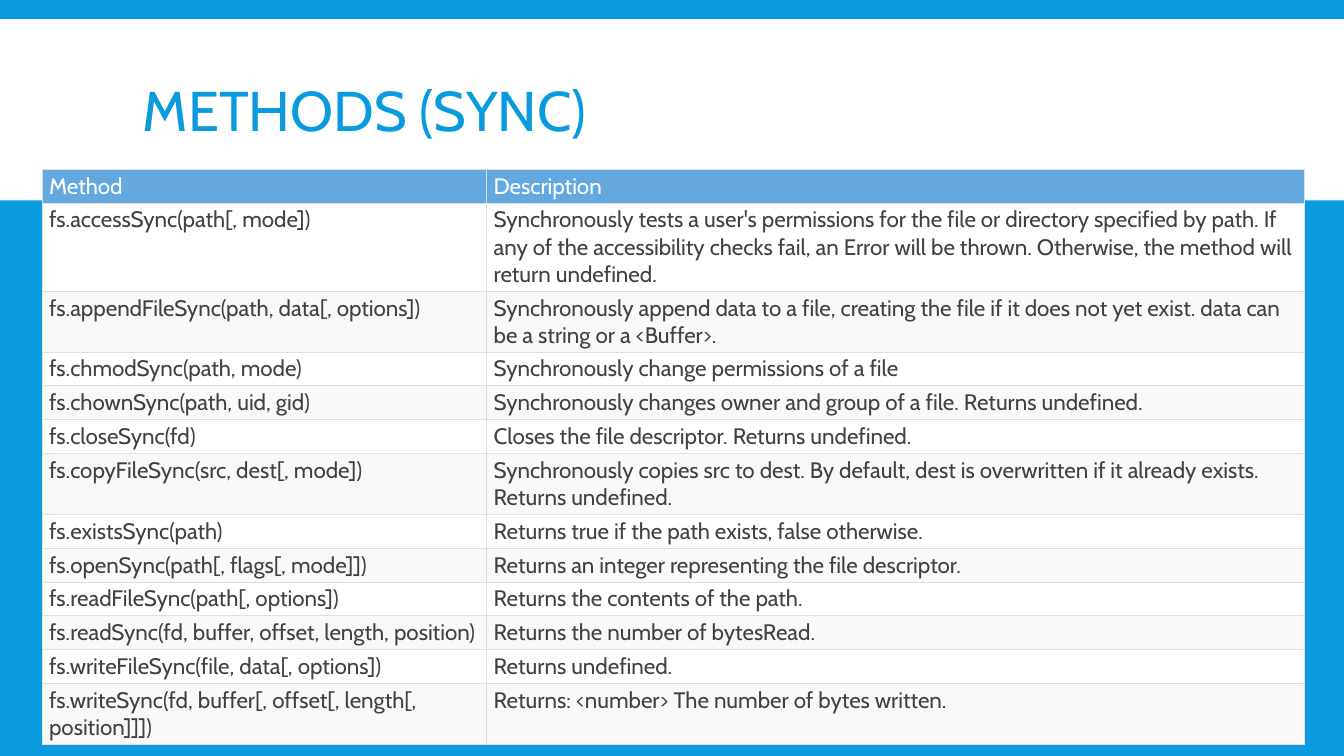
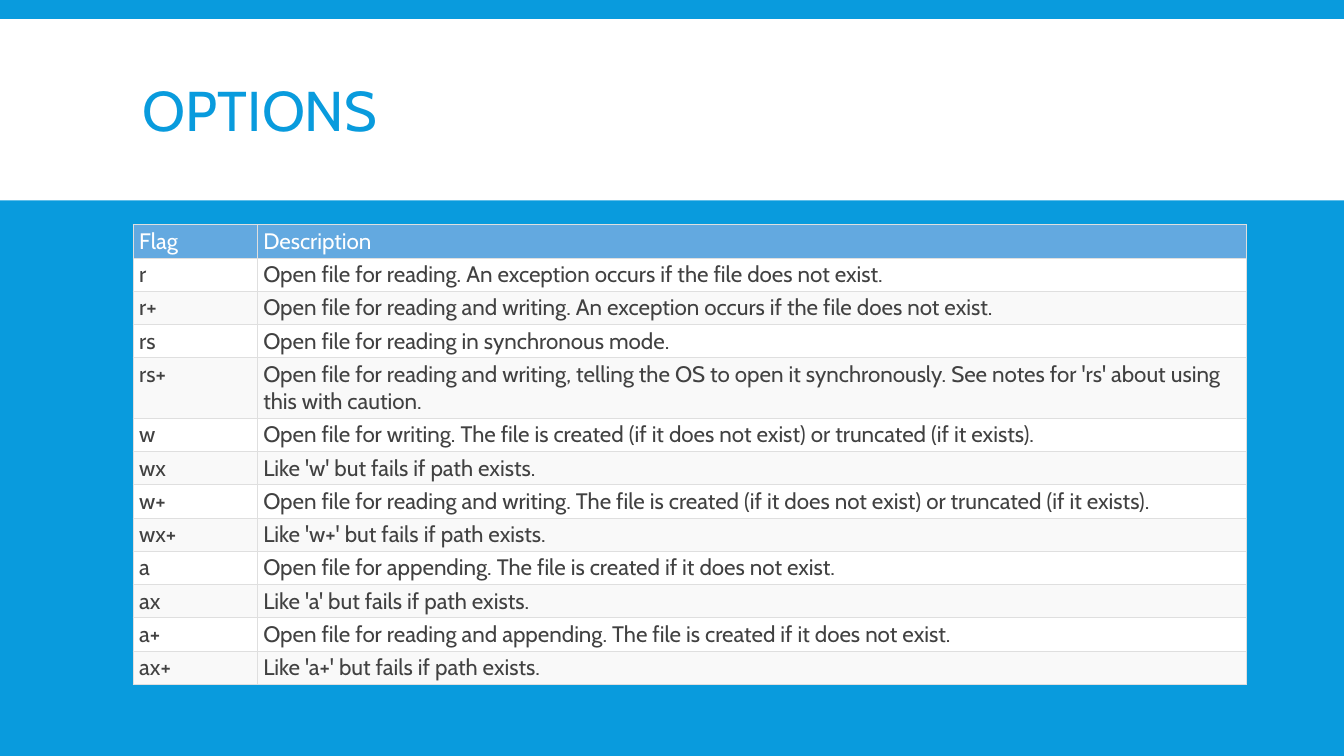
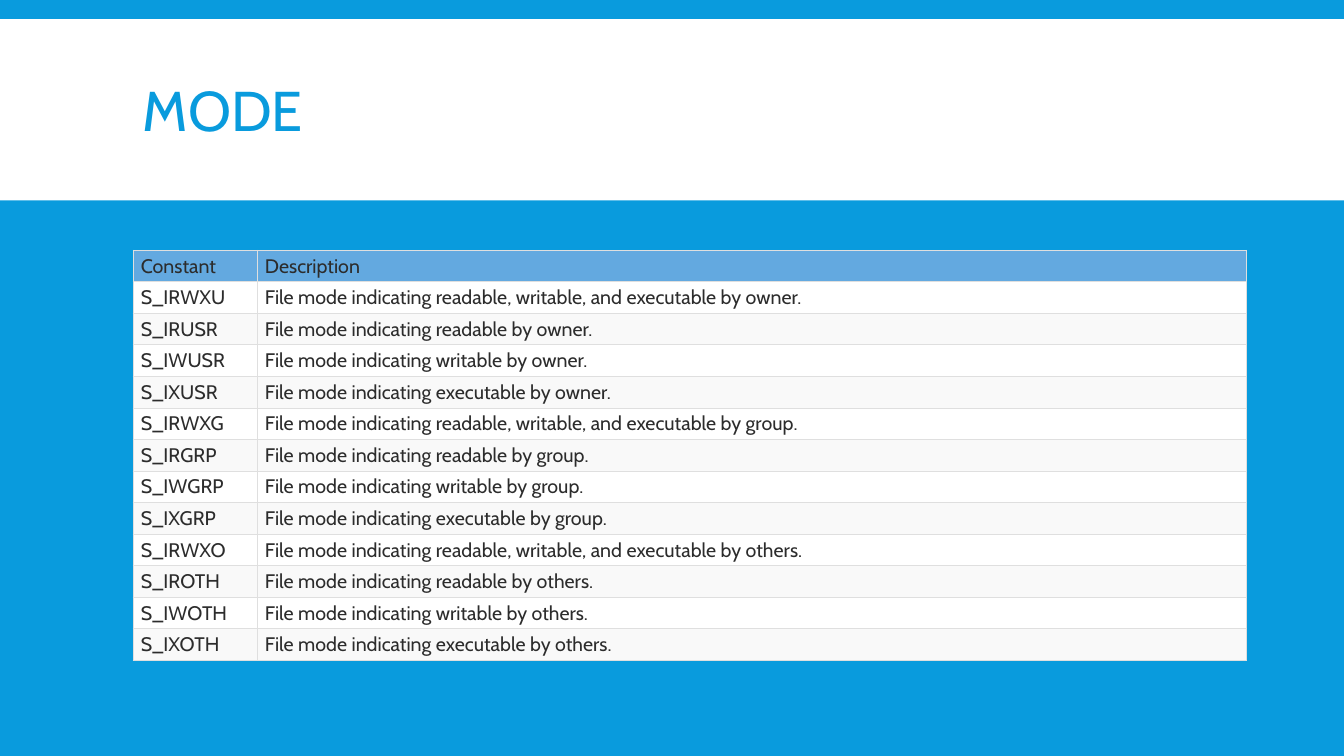
import dataclasses

import pptx
import pptx.dml.color
import pptx.enum.shapes
import pptx.enum.text
import pptx.oxml
import pptx.oxml.ns
import pptx.util

Pt = pptx.util.Pt
ANCHOR = pptx.enum.text.MSO_ANCHOR


@dataclasses.dataclass(frozen=True)
class Theme:
    font: str = "Cabin"
    blue: str = "099BDD"
    white: str = "FFFFFF"
    header: str = "63A9E0"
    stripe: str = "F9F9F9"
    rule: str = "DFDFDF"
    body: str = "414141"
    dark: str = "2C2C2C"
    title_size: float = 40
    large: float = 16
    small: float = 14
    rule_width: float = 0.75
    leading: float = 1.21


@dataclasses.dataclass(frozen=True)
class TableLook:
    """Type sizes and padding are points; padding at the sides is twice that above."""
    size: float
    padding: float
    header_color: str
    body_color: str
    header_anchor: ANCHOR


THEME = Theme()
WIDTH, HEIGHT = pptx.util.Inches(13.33), pptx.util.Inches(7.5)
MARGIN = 9.9
FLAG_COLUMNS = (9.23, 73.58)

METHODS = [
    ("Method", "Description"),
    ("fs.accessSync(path[, mode])",
     "Synchronously tests a user's permissions for the file or directory specified by path. "
     "If any of the accessibility checks fail, an Error will be thrown. "
     "Otherwise, the method will return undefined."),
    ("fs.appendFileSync(path, data[, options])",
     "Synchronously append data to a file, creating the file if it does not yet exist. "
     "data can be a string or a <Buffer>."),
    ("fs.chmodSync(path, mode)", "Synchronously change permissions of a file"),
    ("fs.chownSync(path, uid, gid)",
     "Synchronously changes owner and group of a file. Returns undefined."),
    ("fs.closeSync(fd)", "Closes the file descriptor. Returns undefined."),
    ("fs.copyFileSync(src, dest[, mode])",
     "Synchronously copies src to dest. By default, dest is overwritten if it already exists. "
     "Returns undefined."),
    ("fs.existsSync(path)", "Returns true if the path exists, false otherwise."),
    ("fs.openSync(path[, flags[, mode]])", "Returns an integer representing the file descriptor."),
    ("fs.readFileSync(path[, options])", "Returns the contents of the path."),
    ("fs.readSync(fd, buffer, offset, length, position)", "Returns the number of bytesRead."),
    ("fs.writeFileSync(file, data[, options])", "Returns undefined."),
    ("fs.writeSync(fd, buffer[, offset[, length[, position]]])",
     "Returns: <number> The number of bytes written."),
]

FLAGS = [
    ("Flag", "Description"),
    ("r", "Open file for reading. An exception occurs if the file does not exist."),
    ("r+", "Open file for reading and writing. An exception occurs if the file does not exist."),
    ("rs", "Open file for reading in synchronous mode."),
    ("rs+", "Open file for reading and writing, telling the OS to open it synchronously. "
            "See notes for 'rs' about using this with caution."),
    ("w", "Open file for writing. The file is created (if it does not exist) "
          "or truncated (if it exists)."),
    ("wx", "Like 'w' but fails if path exists."),
    ("w+", "Open file for reading and writing. The file is created (if it does not exist) "
           "or truncated (if it exists)."),
    ("wx+", "Like 'w+' but fails if path exists."),
    ("a", "Open file for appending. The file is created if it does not exist."),
    ("ax", "Like 'a' but fails if path exists."),
    ("a+", "Open file for reading and appending. The file is created if it does not exist."),
    ("ax+", "Like 'a+' but fails if path exists."),
]

OWNERS = {"owner": ("U", "USR"), "group": ("G", "GRP"), "others": ("O", "OTH")}


def mode_rows():
    rows = [("Constant", "Description")]
    for owner, (letter, suffix) in OWNERS.items():
        permissions = [("RWX" + letter, "readable, writable, and executable"),
                       ("R" + suffix, "readable"),
                       ("W" + suffix, "writable"),
                       ("X" + suffix, "executable")]
        rows += [("S_I" + code, f"File mode indicating {ability} by {owner}.")
                 for code, ability in permissions]
    return rows


def across(percent):
    return round(WIDTH * percent / 100)


def down(percent):
    return round(HEIGHT * percent / 100)


def rgb(color):
    return pptx.dml.color.RGBColor.from_string(color)


def paint(fill, color):
    fill.solid()
    fill.fore_color.rgb = rgb(color)


def add_run(paragraph, text, size, color):
    run = paragraph.add_run()
    run.text = text
    run.font.name = THEME.font
    run.font.size = Pt(size)
    run.font.color.rgb = rgb(color)


def add_titled_slide(deck, title):
    slide = deck.slides.add_slide(deck.slide_layouts[6])
    band = slide.shapes.add_shape(pptx.enum.shapes.MSO_SHAPE.RECTANGLE,
                                  0, down(2.53), WIDTH, down(24))
    band.shadow.inherit = False
    paint(band.fill, THEME.white)
    band.line.fill.background()

    heading = slide.shapes.add_textbox(across(MARGIN), down(4.13),
                                       across(80.25), down(22)).text_frame
    heading.word_wrap = True
    heading.vertical_anchor = ANCHOR.MIDDLE
    heading.paragraphs[0].line_spacing = 0.85
    add_run(heading.paragraphs[0], title, THEME.title_size, THEME.blue)
    return slide


def add_borders(cell):
    properties = cell._tc.get_or_add_tcPr()
    for position, side in enumerate(("lnL", "lnR", "lnT", "lnB")):
        properties.insert(position, pptx.oxml.parse_xml(
            f'<a:{side} {pptx.oxml.ns.nsdecls("a")} w="{Pt(THEME.rule_width)}">'
            f'<a:solidFill><a:srgbClr val="{THEME.rule}"/></a:solidFill></a:{side}>'))


def fill_cell(cell, text, row, look):
    is_header = row == 0
    if is_header:
        background = THEME.header
    else:
        background = THEME.white if row % 2 else THEME.stripe
    paint(cell.fill, background)
    add_borders(cell)
    cell.margin_left = cell.margin_right = Pt(2 * look.padding)
    cell.margin_top = cell.margin_bottom = Pt(look.padding)
    cell.vertical_anchor = look.header_anchor if is_header else ANCHOR.TOP
    add_run(cell.text_frame.paragraphs[0], text, look.size,
            look.header_color if is_header else look.body_color)


def add_reference_table(slide, rows, left, top, columns, look, wrapped=None):
    """Place a striped table; wrapped maps a row's index to its number of text lines."""
    wrapped = wrapped or {}
    heights = [Pt(wrapped.get(row, 1) * look.size * THEME.leading + 2 * look.padding)
               for row in range(len(rows))]
    widths = [across(share) for share in columns]
    table = slide.shapes.add_table(len(rows), len(columns), across(left), down(top),
                                   sum(widths), sum(heights)).table
    for column, width in zip(table.columns, widths):
        column.width = width
    for row, (texts, height) in enumerate(zip(rows, heights)):
        table.rows[row].height = height
        for column, text in enumerate(texts):
            fill_cell(table.cell(row, column), text, row, look)


def main():
    deck = pptx.Presentation()
    deck.slide_width, deck.slide_height = WIDTH, HEIGHT
    paint(deck.slide_master.background.fill, THEME.blue)

    methods_look = TableLook(THEME.large, 2.4, THEME.white, THEME.body, ANCHOR.BOTTOM)
    flags_look = dataclasses.replace(methods_look, padding=2.2)
    mode_look = TableLook(THEME.small, 2.8, THEME.dark, THEME.dark, ANCHOR.TOP)

    add_reference_table(add_titled_slide(deck, "METHODS (SYNC)"), METHODS, 3.15, 22.4,
                        (33.08, 60.83), methods_look, wrapped={1: 3, 2: 2, 6: 2, 12: 2})
    add_reference_table(add_titled_slide(deck, "OPTIONS"), FLAGS, MARGIN, 29.75,
                        FLAG_COLUMNS, flags_look, wrapped={4: 2})
    add_reference_table(add_titled_slide(deck, "MODE"), mode_rows(), MARGIN, 33.1,
                        FLAG_COLUMNS, mode_look)
    deck.save("out.pptx")


if __name__ == "__main__":
    main()
